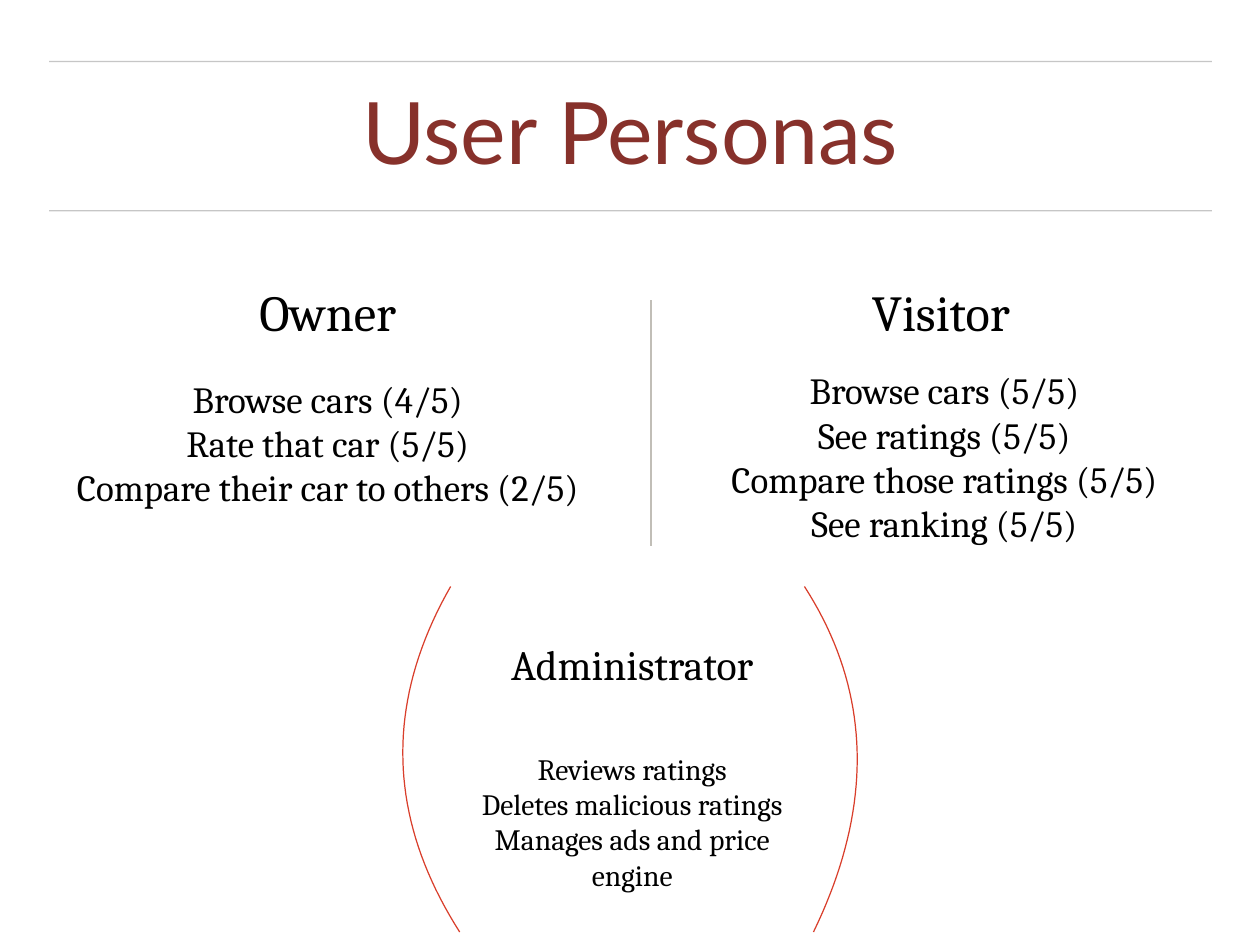
from dataclasses import dataclass

from lxml import etree
from pptx import Presentation, util as u
from pptx.dml.color import RGBColor
from pptx.enum import shapes, text
from pptx.oxml.ns import qn

WIDTH, HEIGHT = u.Inches(14.22), u.Inches(10.67)
COLUMNS, ROWS = 64, 48
CURVE_STEPS = 40

BLACK = RGBColor(0x00, 0x00, 0x00)
RULE_GREY = RGBColor(0x44, 0x44, 0x44)
DIVIDER_GREY = RGBColor(0xC1, 0xBE, 0xB7)
TITLE_RED = RGBColor(0x87, 0x31, 0x2B)
ARC_RED = RGBColor(0xD9, 0x3E, 0x2B)

Point = tuple[float, float]


@dataclass(frozen=True)
class TextBlock:
    """Centred lines in a box measured in grid columns and rows."""
    column: float
    row: float
    columns: float
    rows: float
    lines: tuple[str, ...]
    size: float
    color: RGBColor = BLACK
    font: str = "Cambria"
    inset: float = 0.06
    line_spacing: float = 1.0
    space_before: float = 0


@dataclass(frozen=True)
class Line:
    """A straight line between two grid points."""
    start: Point
    end: Point
    color: RGBColor
    weight: float
    opacity: int = 100


@dataclass(frozen=True)
class Arc:
    """A cubic curve given by its four grid control points."""
    controls: tuple[Point, Point, Point, Point]


BLOCKS = (
    TextBlock(2.52, 3.96, 59, 6, ("User Personas",), 70, TITLE_RED, "Lato",
              inset=0, line_spacing=0.9, space_before=16),
    TextBlock(3.96, 13.9, 25.38, 3.87, ("Owner",), 41, inset=0),
    TextBlock(2.05, 18.5, 29.2, 8, (
        "Browse cars (4/5)", "Rate that car (5/5)",
        "Compare their car to others (2/5)"), 30),
    TextBlock(36.52, 13.9, 22.55, 3.87, ("Visitor",), 41),
    TextBlock(34.88, 17.94, 26.19, 10.49, (
        "Browse cars (5/5)", "See ratings (5/5)",
        "Compare those ratings (5/5)", "See ranking (5/5)"), 30),
    TextBlock(24.33, 32.09, 15.57, 3.24, ("Administrator",), 34),
    TextBlock(23.25, 36.48, 17.73, 10.49, (
        "Reviews ratings", "Deletes malicious ratings",
        "Manages ads and price engine"), 24),
)
TITLE_RULES = tuple(
    Line((2.5, row), (61.55, row), RULE_GREY, 1, 30) for row in (3.12, 10.71))
DIVIDER = Line((33.08, 27.72), (33.08, 15.23), DIVIDER_GREY, 2)
ARCS = (
    Arc(((23.35, 47.34), (19.67, 41.58), (19.49, 35.73), (22.89, 29.79))),
    Arc(((41.32, 47.34), (44.42, 40.95), (44.28, 35.1), (40.86, 29.79))),
)


def grid(column: float, row: float) -> tuple[int, int]:
    """Turn grid columns and rows into slide lengths."""
    return round(WIDTH * column / COLUMNS), round(HEIGHT * row / ROWS)


def draw_text(slide, block: TextBlock) -> None:
    """Add a text box with one paragraph for each line."""
    box = slide.shapes.add_textbox(
        *grid(block.column, block.row), *grid(block.columns, block.rows))
    frame = box.text_frame
    frame.word_wrap = True
    frame.vertical_anchor = text.MSO_ANCHOR.MIDDLE
    frame.margin_left = frame.margin_right = u.Inches(block.inset)
    frame.margin_top = frame.margin_bottom = u.Inches(block.inset)
    frame.text = "\n".join(block.lines)
    for paragraph in frame.paragraphs:
        paragraph.alignment = text.PP_ALIGN.CENTER
        paragraph.line_spacing = block.line_spacing
        paragraph.space_before = u.Pt(block.space_before)
        paragraph.font.name = block.font
        paragraph.font.size = u.Pt(block.size)
        paragraph.font.color.rgb = block.color


def draw_line(slide, line: Line) -> None:
    """Add a straight connector without a shadow."""
    connector = slide.shapes.add_connector(
        shapes.MSO_CONNECTOR.STRAIGHT, *grid(*line.start), *grid(*line.end))
    connector.line.color.rgb = line.color
    connector.line.width = u.Pt(line.weight)
    properties = connector._element.spPr
    if line.opacity < 100:
        color = properties.find(".//" + qn("a:srgbClr"))
        etree.SubElement(color, qn("a:alpha"), val=str(line.opacity * 1000))
    etree.SubElement(properties, qn("a:effectLst"))


def curve_point(arc: Arc, share: float) -> tuple[int, int]:
    """Find the slide position at a share of the way along the curve."""
    rest = 1 - share
    weights = (rest ** 3, 3 * rest ** 2 * share,
               3 * rest * share ** 2, share ** 3)
    column, row = (sum(weight * value for weight, value in zip(weights, axis))
                   for axis in zip(*arc.controls))
    return grid(column, row)


def draw_arc(slide, arc: Arc) -> None:
    """Add an open, unfilled curve."""
    start, *others = (curve_point(arc, step / CURVE_STEPS)
                      for step in range(CURVE_STEPS + 1))
    builder = slide.shapes.build_freeform(*start)
    builder.add_line_segments(others, close=False)
    shape = builder.convert_to_shape()
    shape.shadow.inherit = False
    shape.fill.background()
    shape.line.color.rgb = ARC_RED
    shape.line.width = u.Pt(1)


def main() -> None:
    """Build and save the user personas slide."""
    presentation = Presentation()
    presentation.slide_width, presentation.slide_height = WIDTH, HEIGHT
    slide = presentation.slides.add_slide(presentation.slide_layouts[6])
    for rule in TITLE_RULES:
        draw_line(slide, rule)
    for block in BLOCKS:
        draw_text(slide, block)
    for arc in ARCS:
        draw_arc(slide, arc)
    draw_line(slide, DIVIDER)
    presentation.save("out.pptx")


main()
